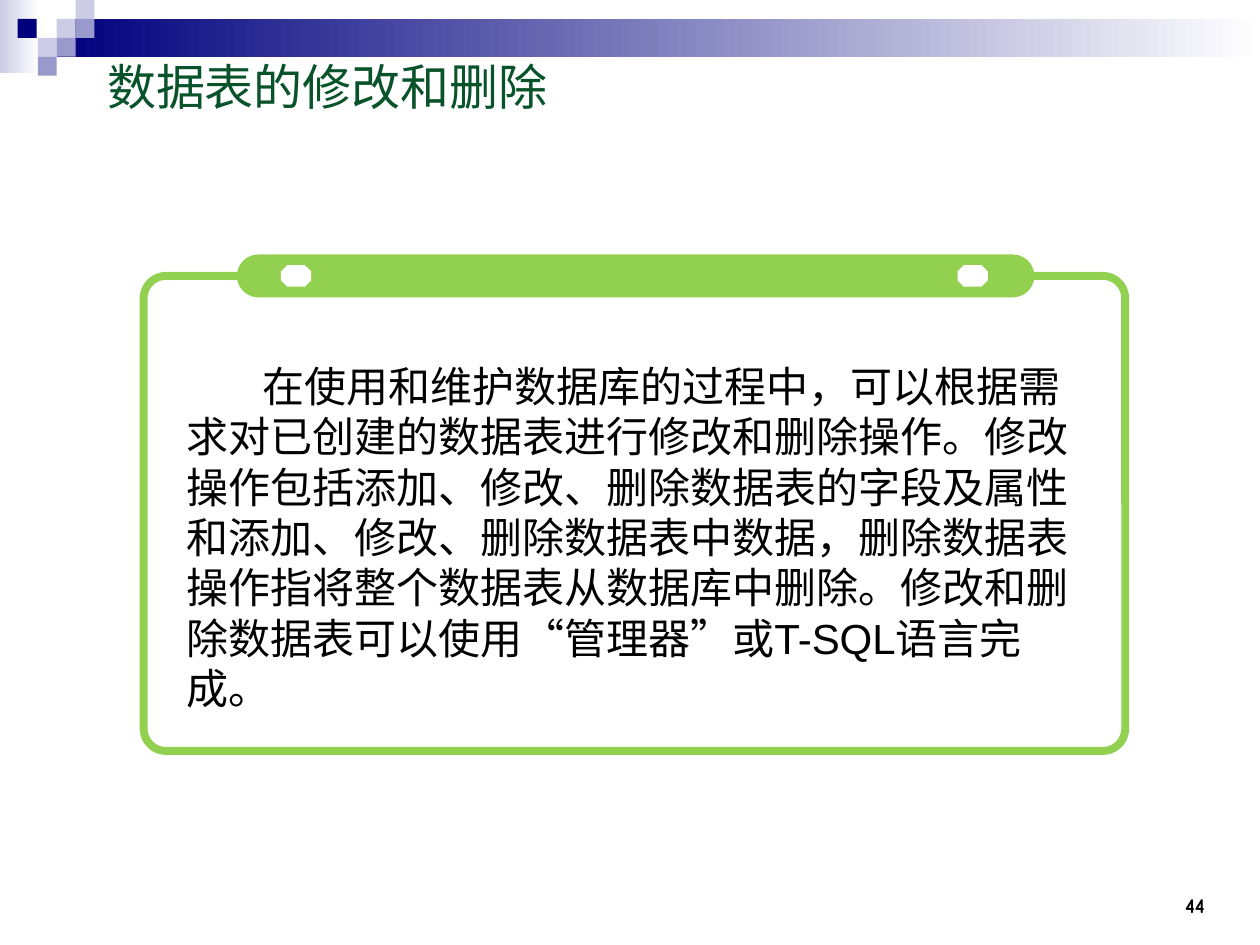
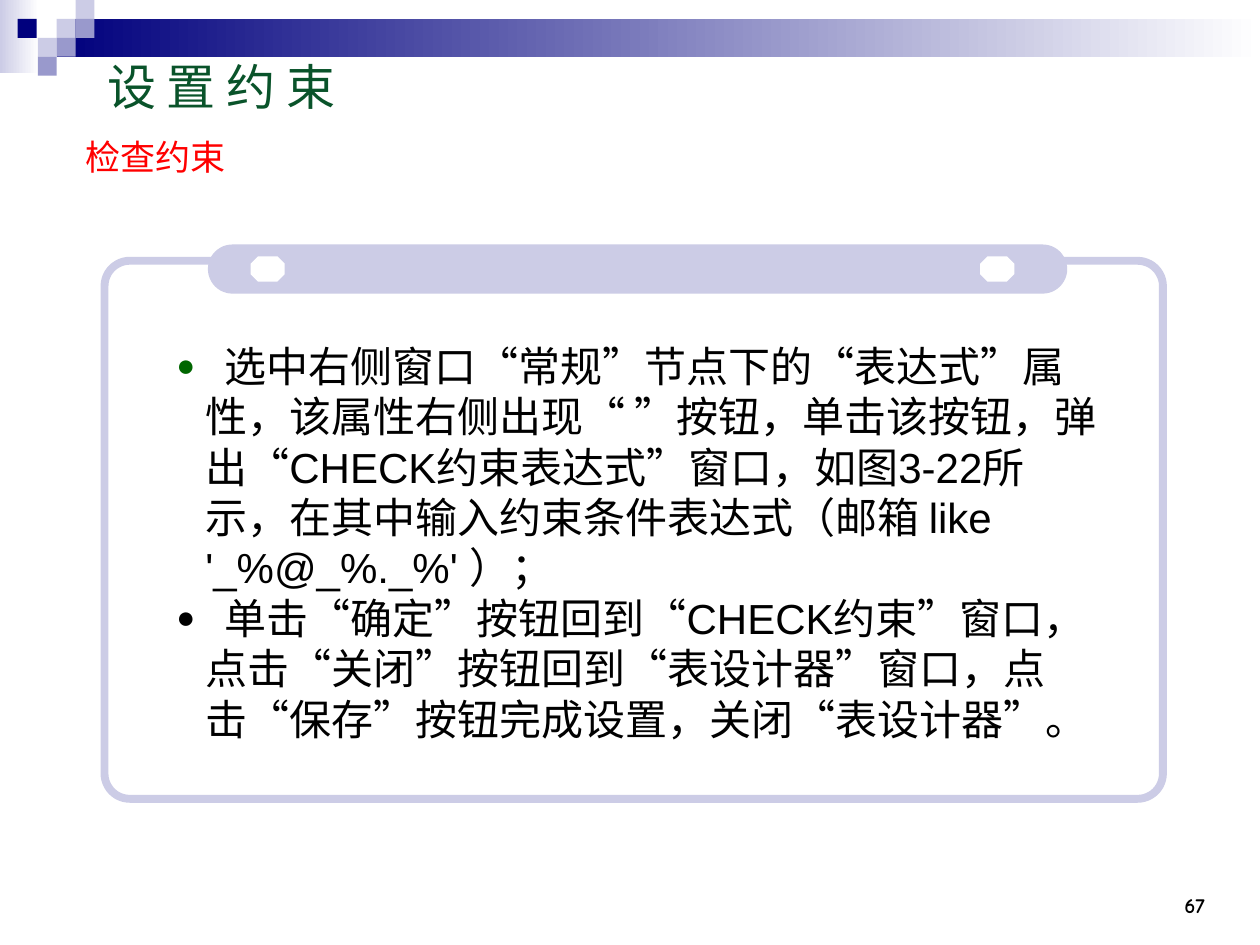
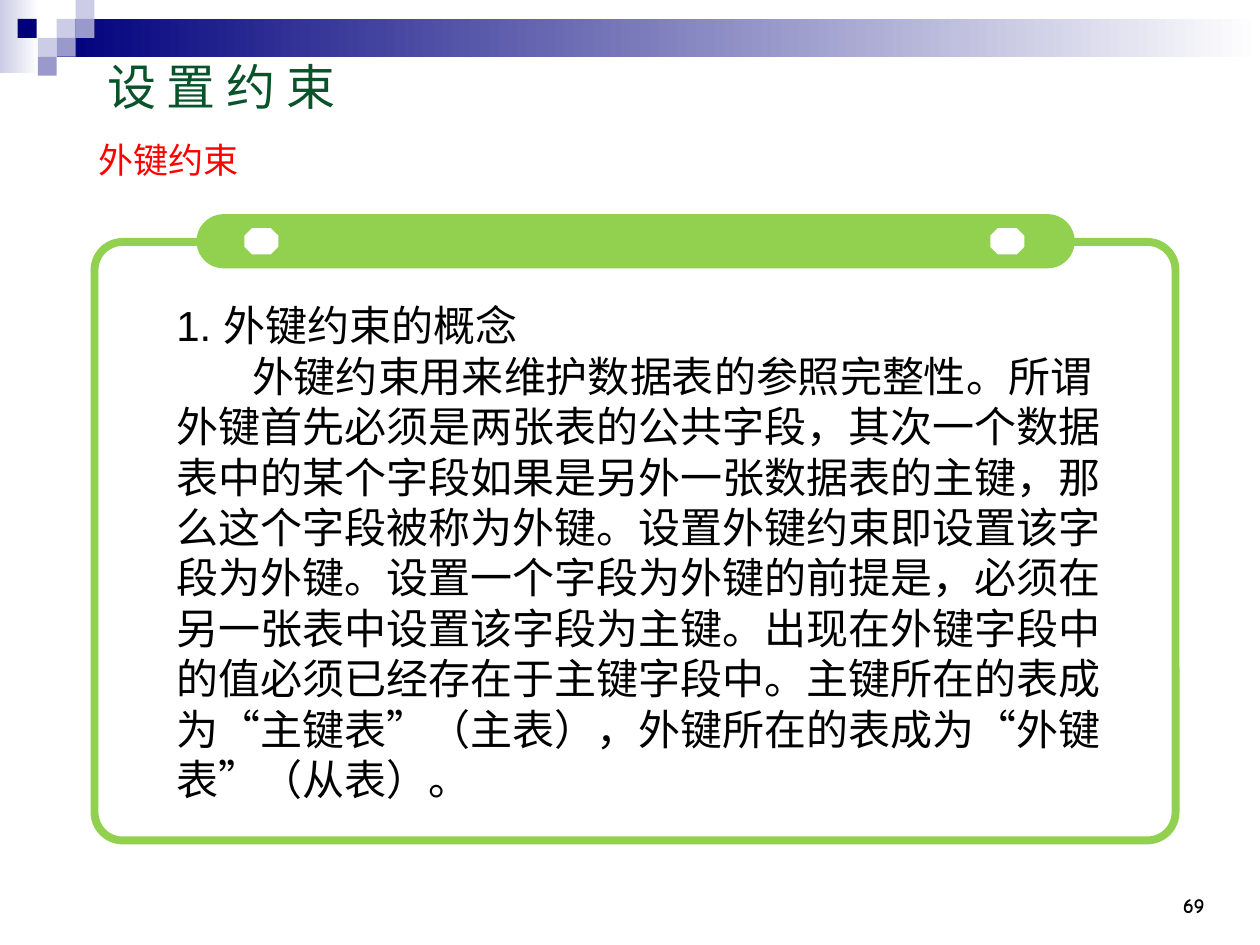
from dataclasses import dataclass
from typing import Any, Optional

import lxml.etree
import pptx
import pptx.dml.color
import pptx.enum.shapes
import pptx.enum.text
import pptx.oxml.ns
import pptx.util

Inches = pptx.util.Inches
Pt = pptx.util.Pt
qn = pptx.oxml.ns.qn
MSO_SHAPE = pptx.enum.shapes.MSO_SHAPE
PP_ALIGN = pptx.enum.text.PP_ALIGN
MSO_ANCHOR = pptx.enum.text.MSO_ANCHOR

Box = tuple[float, float, float, float]

NAVY, LILAC, VIOLET = "00007D", "CCCCE6", "9999CC"
GREEN, LIME, RED = "09532A", "92D050", "FF0000"
BULLET_GREEN, BLACK, WHITE = "006600", "000000", "FFFFFF"
CJK_FONT = "Noto Sans CJK SC"
LEADING = 1.2
HANG = 0.23


@dataclass
class Block:
    left: float
    top: float
    color: str
    cell: float = 0.15


@dataclass
class Panel:
    frame: Box
    bar: Box
    stud_lefts: tuple[float, float]
    stud_size: tuple[float, float]
    color: str


@dataclass
class Para:
    text: str
    indent: float = 0
    bullet: Optional[str] = None


@dataclass
class Page:
    number: str
    title: str
    panel: Panel
    body_box: Box
    paras: list[Para]
    subtitle: str = ""
    subtitle_at: tuple[float, float] = (0, 0)


BLOCKS = [
    Block(0.45, 0.15, LILAC), Block(0.6, 0, LILAC), Block(0.6, 0.15, VIOLET),
    Block(0.3, 0.3, LILAC), Block(0.14, 0.15, NAVY),
    Block(0.45, 0.3, VIOLET), Block(0.3, 0.45, VIOLET),
]

PAGES = [
    Page(
        "44", "数据表的修改和删除",
        Panel((1.14, 2.19, 7.79, 3.77), (1.88, 2.02, 6.33, 0.34),
              (2.23, 7.6), (0.24, 0.17), LIME),
        (1.38, 2.81, 7.32, 2.9),
        [Para("在使用和维护数据库的过程中，可以根据需求对已创建的数据表进行修改和删除操作。"
              "修改操作包括添加、修改、删除数据表的字段及属性和添加、修改、删除数据表中数据，"
              "删除数据表操作指将整个数据表从数据库中删除。"
              "修改和删除数据表可以使用“管理器”或T-SQL语言完成。", indent=0.6)],
    ),
    Page(
        "67", "设 置 约 束",
        Panel((0.83, 2.07, 8.4, 4.27), (1.65, 1.94, 6.82, 0.39),
              (1.99, 7.78), (0.27, 0.2), LILAC),
        (1.3, 2.65, 7.56, 3.3),
        [Para("选中右侧窗口“常规”节点下的“表达式”属性，该属性右侧出现“ ”按钮，"
              "单击该按钮，弹出“CHECK约束表达式”窗口，如图3-22所示，"
              "在其中输入约束条件表达式（邮箱 like '_%@_%._%' ）；", bullet=BULLET_GREEN),
         Para("单击“确定”按钮回到“CHECK约束”窗口，点击“关闭”按钮回到“表设计器”窗口，"
              "点击“保存”按钮完成设置，关闭“表设计器”。", bullet=BLACK)],
        "检查约束", (0.58, 1.03),
    ),
    Page(
        "69", "设 置 约 束",
        Panel((0.75, 1.92, 8.58, 4.75), (1.56, 1.7, 6.97, 0.43),
              (1.94, 7.86), (0.27, 0.21), LIME),
        (1.3, 2.33, 7.64, 4.1),
        [Para("1. 外键约束的概念"),
         Para("外键约束用来维护数据表的参照完整性。所谓外键首先必须是两张表的公共字段，"
              "其次一个数据表中的某个字段如果是另外一张数据表的主键，那么这个字段被称为外键。"
              "设置外键约束即设置该字段为外键。设置一个字段为外键的前提是，"
              "必须在另一张表中设置该字段为主键。出现在外键字段中的值必须已经存在于主键字段中。"
              "主键所在的表成为“主键表”（主表），外键所在的表成为“外键表”（从表）。",
              indent=0.6)],
        "外键约束", (0.68, 1.05),
    ),
]


def rgb(color: str) -> pptx.dml.color.RGBColor:
    return pptx.dml.color.RGBColor.from_string(color)


def add_sub(parent: Any, tag: str, **attrs: str) -> Any:
    return lxml.etree.SubElement(parent, qn(tag), attrs)


def place(sp: Any, box: Box) -> None:
    sp.left, sp.top, sp.width, sp.height = map(Inches, box)


def style(p: Any, size: float, color: str, name: str = "Arial", bold: bool = False) -> None:
    p.font.size = Pt(size)
    p.font.bold = bold
    p.font.color.rgb = rgb(color)
    p.font.name = name
    add_sub(p._p.pPr.find(qn("a:defRPr")), "a:ea", typeface=CJK_FONT)


def add_shape(s: Any, kind: Any, box: Box, fill: Optional[str] = None,
              line: Optional[str] = None, adj: Optional[float] = None) -> Any:
    sp = s.shapes.add_shape(kind, *map(Inches, box))
    sp.shadow.inherit = False
    if fill:
        sp.fill.solid()
        sp.fill.fore_color.rgb = rgb(fill)
    else:
        sp.fill.background()
    if line:
        sp.line.color.rgb = rgb(line)
        sp.line.width = Pt(4.5)
    else:
        sp.line.fill.background()
    if adj is not None:
        sp.adjustments[0] = adj
    return sp


def add_gradient(s: Any, box: Box, color: str) -> None:
    sp = add_shape(s, MSO_SHAPE.RECTANGLE, box)
    sp.fill.gradient()
    sp.fill.gradient_angle = 0
    for stop, stop_color in zip(sp.fill.gradient_stops, (color, WHITE)):
        stop.color.rgb = rgb(stop_color)


def add_text(s: Any, box: Box, text: str) -> Any:
    sp = s.shapes.add_textbox(*map(Inches, box))
    sp.text_frame.word_wrap = True
    sp.text_frame.text = text
    return sp.text_frame


def move_band_to_master(prs: Any, s: Any) -> None:
    before = len(s.shapes)
    add_gradient(s, (0, 0, 0.31, 0.58), LILAC)
    add_gradient(s, (0.45, 0.15, 9.55, 0.3), NAVY)
    for b in BLOCKS:
        add_shape(s, MSO_SHAPE.RECTANGLE, (b.left, b.top, b.cell, b.cell), b.color)
    for sp in list(s.shapes)[before:]:
        prs.slide_master.element.cSld.spTree.append(sp.element)


def add_panel(s: Any, panel: Panel) -> None:
    add_shape(s, MSO_SHAPE.ROUNDED_RECTANGLE, panel.frame, line=panel.color, adj=0.047)
    add_shape(s, MSO_SHAPE.ROUNDED_RECTANGLE, panel.bar, panel.color, adj=0.5)
    width, height = panel.stud_size
    top = panel.bar[1] + (panel.bar[3] - height) / 2
    for left in panel.stud_lefts:
        add_shape(s, MSO_SHAPE.OCTAGON, (left, top, width, height), WHITE, adj=0.29)


def fill_title(s: Any, text: str) -> None:
    sp = s.shapes.title
    place(sp, (0.75, 0.21, 6.8, 0.95))
    tf = sp.text_frame
    tf.text = text
    tf.auto_size = pptx.enum.text.MSO_AUTO_SIZE.NONE
    tf.vertical_anchor = MSO_ANCHOR.MIDDLE
    p = tf.paragraphs[0]
    p.alignment = PP_ALIGN.LEFT
    style(p, 28, GREEN, CJK_FONT)


def fill_paragraph(p: Any, para: Para, size: float) -> None:
    p.space_before = Pt(0)
    p.line_spacing = Pt(size * LEADING)
    pPr = p._p.get_or_add_pPr()
    hang = HANG if para.bullet else 0
    pPr.set("marL", str(Inches(hang)))
    pPr.set("indent", str(Inches(para.indent - hang)))
    pPr.set("hangingPunct", "0")
    if para.bullet:
        add_sub(add_sub(pPr, "a:buClr"), "a:srgbClr", val=para.bullet)
        add_sub(pPr, "a:buSzPct", val="75000")
        add_sub(pPr, "a:buFont", typeface="Arial")
        add_sub(pPr, "a:buChar", char="●")
        lead = p.add_run()
        lead.text = " "
        lead._r.get_or_add_rPr().set("spc", "560")
    else:
        add_sub(pPr, "a:buNone")
    p.add_run().text = para.text
    style(p, size, BLACK)


def fill_body(s: Any, page: Page) -> None:
    sp = s.placeholders[1]
    place(sp, page.body_box)
    tf = sp.text_frame
    tf.auto_size = pptx.enum.text.MSO_AUTO_SIZE.NONE
    for i, para in enumerate(page.paras):
        fill_paragraph(tf.add_paragraph() if i else tf.paragraphs[0], para, 24)


def add_subtitle(s: Any, page: Page) -> None:
    p = add_text(s, (*page.subtitle_at, 2.52, 0.44), page.subtitle).paragraphs[0]
    p.line_spacing = Pt(20 * LEADING)
    style(p, 20, RED)


def add_number(s: Any, number: str) -> None:
    tf = add_text(s, (8.83, 6.83, 0.83, 0.5), number)
    tf.vertical_anchor = MSO_ANCHOR.BOTTOM
    p = tf.paragraphs[0]
    p.alignment = PP_ALIGN.RIGHT
    style(p, 12, BLACK, "Comic Neue", bold=True)


def add_page(prs: Any, page: Page) -> Any:
    s = prs.slides.add_slide(prs.slide_layouts[1])
    fill_title(s, page.title)
    fill_body(s, page)
    if page.subtitle:
        add_subtitle(s, page)
    add_panel(s, page.panel)
    add_number(s, page.number)
    return s


def main() -> None:
    prs = pptx.Presentation()
    prs.slide_width, prs.slide_height = Inches(10), Inches(7.5)
    slides = [add_page(prs, page) for page in PAGES]
    move_band_to_master(prs, slides[0])
    prs.save("out.pptx")


if __name__ == "__main__":
    main()
